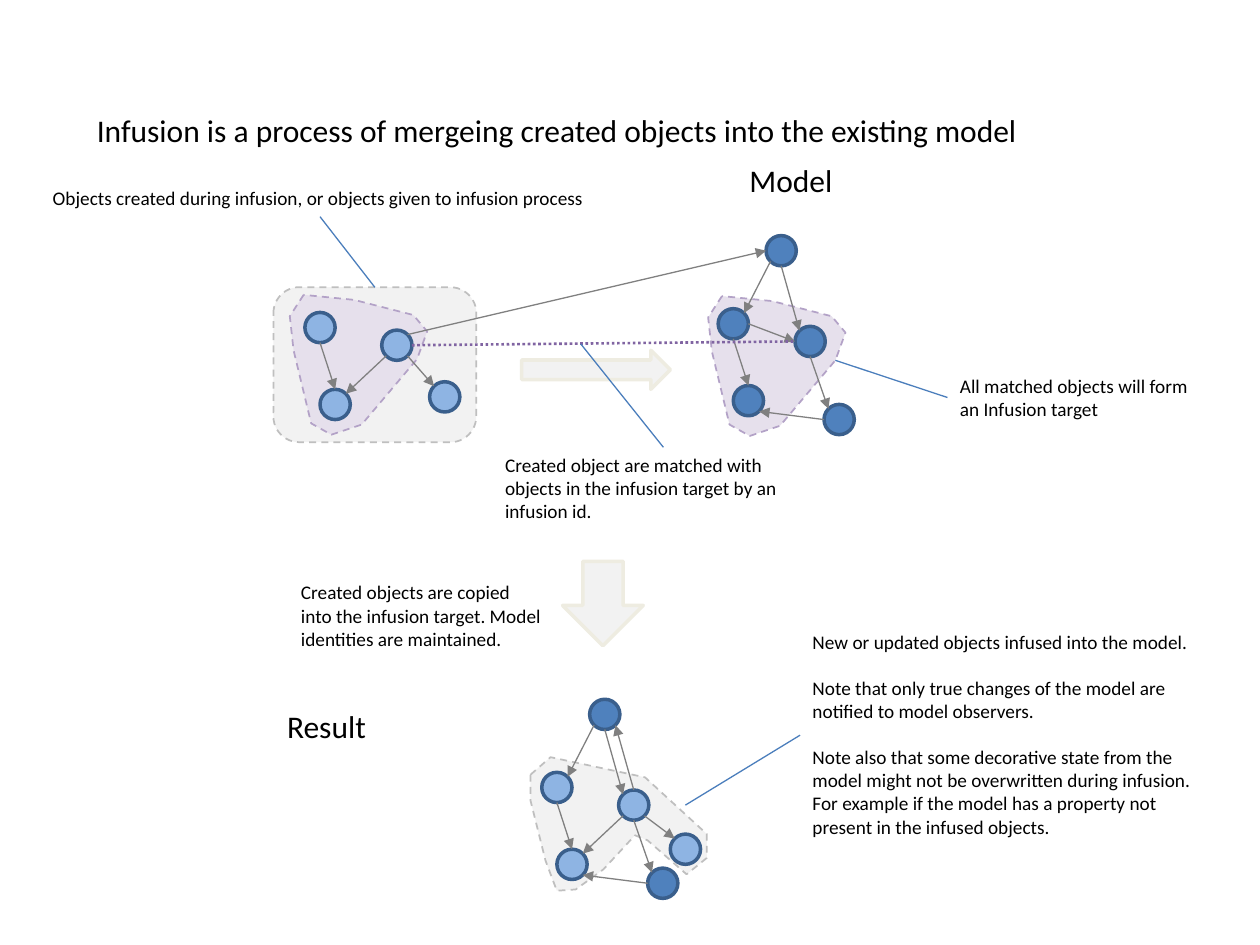
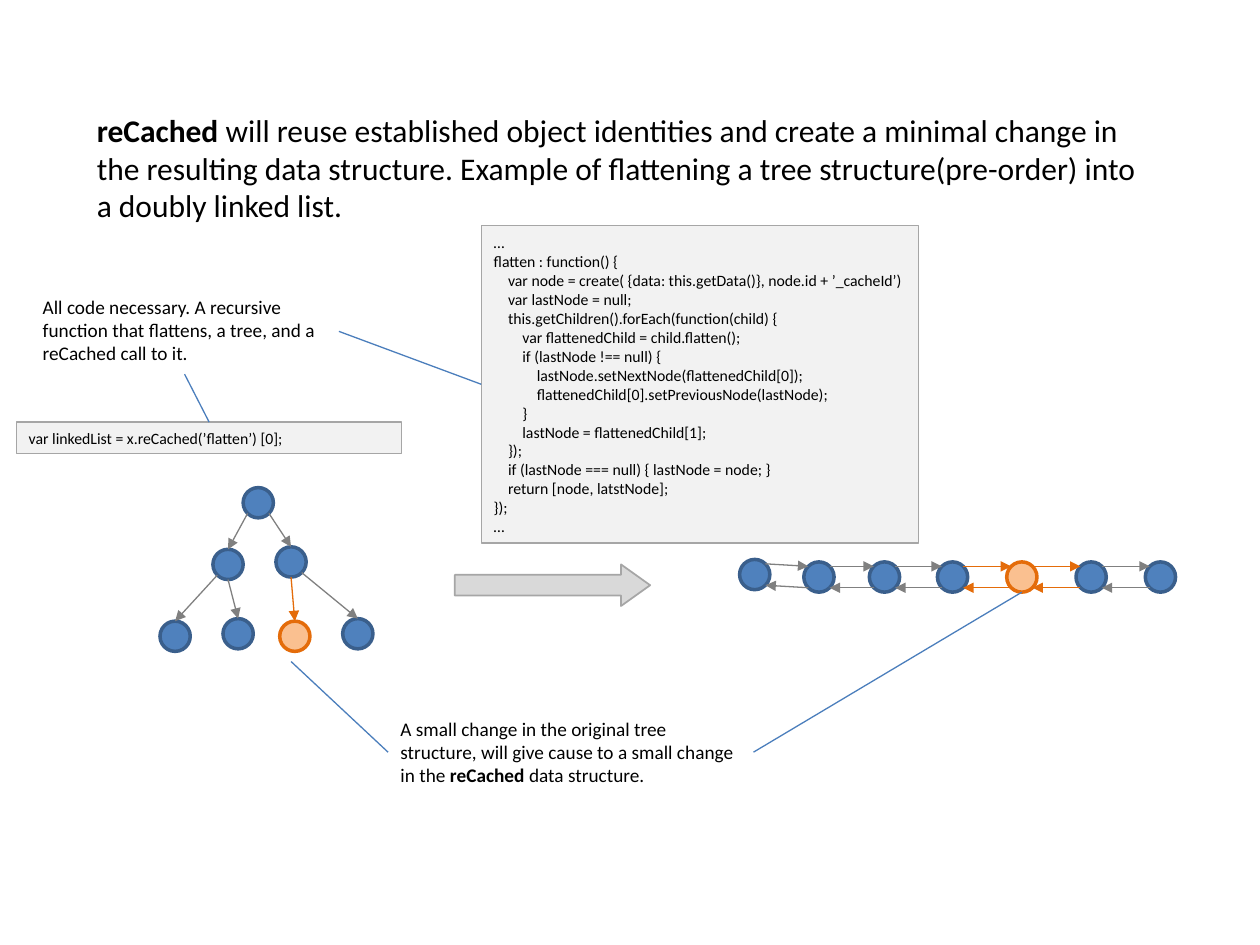
from collections import namedtuple
from itertools import pairwise
from math import sqrt

from lxml.etree import SubElement
from pptx import Presentation
from pptx.dml.color import RGBColor
from pptx.enum.dml import MSO_LINE
from pptx.enum.shapes import MSO_CONNECTOR, MSO_SHAPE
from pptx.enum.text import MSO_AUTO_SIZE, PP_ALIGN
from pptx.oxml.ns import qn
from pptx.util import Emu, Inches, Pt

WIDTH, HEIGHT = Inches(10), Inches(7.5)
COLUMNS = 100
FONT = "Calibri"
TITLE, NOTE, CODE = 18, 11, 9
CODE_INDENT = 1.14
RADIUS = 1.2
BLACK, GREY, LEADER = "000000", "808080", "4B7EBC"
PALE, PALE_EDGE = "F2F2F2", "BFBFBF"
LILAC, LILAC_EDGE, PURPLE = "E6E0EC", "B3A2C7", "8064A2"
CREAM, SILVER, SILVER_EDGE = "EEECE1", "D9D9D9", "A6A6A6"
ORANGE = "E46C0A"
MODEL, CREATED, CHANGED = ("4F81BD", "3A5F8C"), ("8EB4E3", "3A5F8C"), ("FAC090", ORANGE)
TOP, LEFT, BOTTOM, RIGHT = range(4)

Box = namedtuple("Box", "col row cols rows")

DIAGONAL = 1 / sqrt(2)
RIM = {
    "n": (0, -1), "s": (0, 1), "w": (-1, 0), "e": (1, 0),
    "nw": (-DIAGONAL, -DIAGONAL), "ne": (DIAGONAL, -DIAGONAL),
    "sw": (-DIAGONAL, DIAGONAL), "se": (DIAGONAL, DIAGONAL),
}

GRAPH = {"top": (5.8, 1.2), "left": (2, 7), "right": (8.1, 8.4),
         "low": (3.2, 13.1), "outer": (10.4, 14.6)}
GRAPH_EDGES = ["left s low n", "top sw left ne", "top s right nw",
               "right s outer nw", "outer w low se"]
MATCHED = [(1.1, 0), (0, 1.7), (0.3, 4.4), (1.7, 10.2), (3.3, 11.1),
           (5.7, 10.3), (10.1, 5.1), (10.9, 2.9), (9.8, 1.6), (5.1, 0.4)]
INFUSED = [(0, 1.4), (0, 3.4), (1.2, 8.2), (2.1, 10.6), (3.6, 10.5), (5.8, 8.9),
           (8.3, 6.2), (9.3, 6.6), (12.4, 9.3), (14, 8), (14, 6.1), (9.1, 1.6), (1.6, 0)]
TREE = {"root": (7.8, 1.2), "left": (5.4, 6.1), "right": (10.4, 5.9), "first": (1.2, 11.8),
        "second": (6.2, 11.6), "changed": (10.7, 11.8), "last": (15.7, 11.6)}
TREE_EDGES = ["root se right n", "root sw left n", "right se last n",
              "right s changed n", "left s second n", "left sw first n"]
LINKED = {"first": (1.2, 1.2), "second": (6.3, 1.4), "third": (11.5, 1.4), "fourth": (16.9, 1.4),
          "changed": (22.4, 1.4), "sixth": (27.9, 1.4), "last": (33.4, 1.4)}
FLATTEN = [
    (0, "…"),
    (0, "flatten : function() {"),
    (1, "var node = create( {data: this.getData()}, node.id + ’_cacheId’)"),
    (1, "var lastNode = null;"),
    (1, "this.getChildren().forEach(function(child) {"),
    (2, "var flattenedChild = child.flatten();"),
    (2, "if (lastNode !== null) {"),
    (3, "lastNode.setNextNode(flattenedChild[0]);"),
    (3, "flattenedChild[0].setPreviousNode(lastNode);"),
    (2, "}"),
    (2, "lastNode = flattenedChild[1];"),
    (1, "});"),
    (1, "if (lastNode === null) { lastNode = node; }"),
    (1, "return [node, latstNode];"),
    (0, "});"),
    (0, "…"),
]


def cells(count):
    """Turn a number of grid cells into a length."""
    return Emu(round(count * WIDTH / COLUMNS))


def color(value):
    """Turn a hex string into a colour."""
    return RGBColor.from_string(value)


def paint(shape, fill, edge, weight, dash=None):
    """Give a shape its fill and line, without a shadow."""
    shape.shadow.inherit = False
    shape.fill.solid()
    shape.fill.fore_color.rgb = color(fill)
    shape.line.color.rgb = color(edge)
    shape.line.width = Pt(weight)
    if dash:
        shape.line.dash_style = dash
    return shape


def block(slide, box, kind, fill, edge, weight, dash=None):
    """Add a painted preset shape."""
    shape = slide.shapes.add_shape(kind, *map(cells, box))
    return paint(shape, fill, edge, weight, dash)


def outline(slide, box, corners, fill, edge):
    """Add a dashed closed outline around a group of objects."""
    points = [(cells(box.col + x), cells(box.row + y)) for x, y in corners]
    builder = slide.shapes.build_freeform(*points[0])
    builder.add_line_segments(points[1:], close=True)
    paint(builder.convert_to_shape(), fill, edge, 1, MSO_LINE.DASH)


def line(slide, start, end, tint, weight=0.75, dash=None, arrow=False):
    """Add a straight line or arrow between two grid points."""
    link = slide.shapes.add_connector(MSO_CONNECTOR.STRAIGHT, *map(cells, (*start, *end)))
    link.line.color.rgb = color(tint)
    link.line.width = Pt(weight)
    if dash:
        link.line.dash_style = dash
    if arrow:
        SubElement(link.line._get_or_add_ln(), qn("a:tailEnd"), type="triangle")
    SubElement(link._element.spPr, qn("a:effectLst"))
    return link


def leader(slide, shape, side, target):
    """Lead from the middle of a shape's side to a point or to another shape's side."""
    joined = len(target) == 2 and not isinstance(target[0], (int, float))
    link = line(slide, (0, 0), (0, 0) if joined else target, LEADER)
    link.begin_connect(shape, side)
    if joined:
        link.end_connect(*target)


def rim(centre, side):
    """Find the point on a node's rim in a compass direction."""
    return tuple(c + RADIUS * d for c, d in zip(centre, RIM[side]))


def nodes(slide, box, places, look, special=None):
    """Draw round nodes in a box and return their centres by name."""
    centres = {}
    for name, (x, y) in places.items():
        centre = box.col + x, box.row + y
        circle = Box(centre[0] - RADIUS, centre[1] - RADIUS, 2 * RADIUS, 2 * RADIUS)
        block(slide, circle, MSO_SHAPE.OVAL, *(special or {}).get(name, look), 2)
        centres[name] = centre
    return centres


def edges(slide, centres, links):
    """Draw arrows, each given as source, its side, target and its side."""
    for link in links:
        source, leave, target, reach = link.split()
        tint = ORANGE if "changed" in (source, target) else GREY
        line(slide, rim(centres[source], leave), rim(centres[target], reach), tint, arrow=True)


def write(shape, paragraphs, size, wrap=True, gap=0):
    """Fill a shape with paragraphs of an indent level and (words, bold) runs."""
    frame = shape.text_frame
    frame.word_wrap = wrap
    frame.auto_size = MSO_AUTO_SIZE.SHAPE_TO_FIT_TEXT
    for index, (level, runs) in enumerate(paragraphs):
        paragraph = frame.add_paragraph() if index else frame.paragraphs[0]
        paragraph.alignment = PP_ALIGN.LEFT
        if index and gap:
            paragraph.space_before = Pt(gap)
        if level:
            paragraph._p.get_or_add_pPr().set("marL", str(cells(level * CODE_INDENT)))
        for words, bold in runs:
            run = paragraph.add_run()
            run.text = words
            run.font.name, run.font.size, run.font.bold = FONT, Pt(size), bold
            run.font.color.rgb = color(BLACK)
    return shape


def text(slide, box, *paragraphs, size=NOTE, wrap=True, gap=0):
    """Add a text box; a paragraph is a string or a list of runs."""
    rows = [(0, [(p, False)] if isinstance(p, str) else p) for p in paragraphs]
    return write(slide.shapes.add_textbox(*map(cells, box)), rows, size, wrap, gap)


def code(slide, box, rows):
    """Add a grey box with indented lines of code."""
    panel = block(slide, box, MSO_SHAPE.RECTANGLE, PALE, SILVER_EDGE, 0.75)
    return write(panel, [(level, [(words, False)]) for level, words in rows], CODE)


def created_region(slide, box):
    """Draw the created objects in their tray and return tray and centres."""
    tray = block(slide, Box(box.col - 1.7, box.row + 3.8, 16.1, 12.3),
                 MSO_SHAPE.FLOWCHART_ALTERNATE_PROCESS, PALE, PALE_EDGE, 1, MSO_LINE.DASH)
    outline(slide, Box(box.col - 0.4, box.row + 4.4, 11, 11.2), MATCHED, LILAC, LILAC_EDGE)
    places = {name: GRAPH[name] for name in ("left", "right", "low")}
    centres = nodes(slide, box, places | {"fresh": (11.9, 12.5)}, CREATED)
    edges(slide, centres, ["left s low n", "right sw low ne", "right se fresh nw"])
    return tray, centres


def model_region(slide, box):
    """Draw the existing model and return its centres."""
    outline(slide, Box(box.col, box.row + 4.8, 11, 11.2), MATCHED, LILAC, LILAC_EDGE)
    centres = nodes(slide, box, GRAPH, MODEL)
    edges(slide, centres, GRAPH_EDGES + ["left e right w"])
    text(slide, Box(box.col + 2.3, box.row - 6.4, 8.7, 4), "Model", size=TITLE, wrap=False)
    return centres


def result_region(slide, box):
    """Draw the model after infusion."""
    outline(slide, Box(box.col - 0.1, box.row + 4.6, 13.9, 10.6), INFUSED, PALE, PALE_EDGE)
    kept = {"top": MODEL, "outer": MODEL}
    centres = nodes(slide, box, GRAPH | {"fresh": (12.2, 11.9)}, CREATED, kept)
    edges(slide, centres, GRAPH_EDGES + ["right sw low ne", "right se fresh nw", "right n top se"])
    text(slide, Box(box.col - 20.4, box.row + 0.1, 8.3, 4), "Result", size=TITLE, wrap=False)


def tree_region(slide, box):
    """Draw the tree with its changed leaf."""
    edges(slide, nodes(slide, box, TREE, MODEL, {"changed": CHANGED}), TREE_EDGES)


def list_region(slide, box):
    """Draw the doubly linked list and return its centres."""
    centres = nodes(slide, box, LINKED, MODEL, {"changed": CHANGED})
    for here, following in pairwise(LINKED):
        edges(slide, centres, [f"{here} ne {following} nw", f"{following} sw {here} se"])
    return centres


def infusion_slide(slide):
    """Explain how created objects are merged into the model."""
    text(slide, Box(6.7, 8.3, 75.4, 4),
         "Infusion is a process of mergeing created objects into the existing model",
         size=TITLE, wrap=False)
    tray, created = created_region(slide, Box(23.4, 19, 14.4, 16))
    model = model_region(slide, Box(56.2, 18.7, 11.6, 16))
    result_region(slide, Box(42.2, 55.5, 14, 15.8))
    block(slide, Box(41.4, 27.8, 11.8, 3.1), MSO_SHAPE.RIGHT_ARROW, PALE, CREAM, 2)
    block(slide, Box(44.5, 44.7, 6.7, 6.4), MSO_SHAPE.RIGHT_ARROW, PALE, CREAM, 2).rotation = 90
    line(slide, rim(created["right"], "ne"), rim(model["top"], "w"), GREY, arrow=True)
    line(slide, rim(created["right"], "e"), rim(model["right"], "w"), PURPLE, 1.5,
         MSO_LINE.ROUND_DOT)

    origin = text(slide, Box(3.2, 14.3, 44.4, 2.9),
                  "Objects created during infusion, or objects given to infusion process", wrap=False)
    target = text(slide, Box(75.2, 29.2, 21.3, 4.7),
                  "All matched objects will form an Infusion target")
    matching = text(slide, Box(39.1, 35.5, 27.1, 6.6),
                    "Created object are matched with objects in the infusion target by an infusion id.")
    text(slide, Box(22.9, 45.6, 21.3, 6.6),
         "Created objects are copied into the infusion target. Model identities are maintained.")
    outcome = text(slide, Box(63.5, 49.5, 33, 17.7),
                   "New or updated objects infused into the model.",
                   "Note that only true changes of the model are notified to model observers.",
                   "Note also that some decorative state from the model might not be overwritten during "
                   "infusion. For example if the model has a property not present in the infused objects.",
                   gap=13.2)
    leader(slide, origin, BOTTOM, (tray, TOP))
    leader(slide, target, LEFT, (66.3, 28.6))
    leader(slide, matching, TOP, (46.1, 27.3))
    leader(slide, outcome, LEFT, (54.4, 63.9))


def recached_slide(slide):
    """Show a tree flattened into a linked list with a minimal change."""
    text(slide, Box(6.7, 8.3, 85.4, 10.1),
         [("reCached", True),
          (" will reuse established object identities and create a minimal change in the resulting "
           "data structure. Example of flattening a tree structure(pre-order) into a doubly linked "
           "list.", False)], size=TITLE)
    tree_region(slide, Box(12.7, 38.7, 16.9, 13))
    linked = list_region(slide, Box(58.7, 44.4, 34.6, 2.6))
    flattening = block(slide, Box(36.1, 44.8, 15.5, 3.3), MSO_SHAPE.RIGHT_ARROW,
                       SILVER, SILVER_EDGE, 1)
    flattening.adjustments[1] = 0.7

    change = text(slide, Box(30.8, 56.4, 29, 6.6),
                  [("A small change in the original tree structure, will give cause to a small "
                    "change in the ", False), ("reCached", True), (" data structure.", False)])
    recursion = code(slide, Box(38.2, 17.9, 34.7, 25.2), FLATTEN)
    call = code(slide, Box(1.3, 33.5, 30.6, 2.5),
                [(0, "var linkedList = x.reCached(’flatten’) [0];")])
    summary = text(slide, Box(2.4, 22.9, 24.5, 6.8),
                   "All code necessary. A recursive function that flattens, a tree, and a "
                   "reCached call to it.")
    leader(slide, change, RIGHT, rim(linked["changed"], "s"))
    leader(slide, change, LEFT, (23.1, 52.5))
    leader(slide, recursion, LEFT, (summary, RIGHT))
    leader(slide, call, TOP, (summary, BOTTOM))


def main():
    """Build both slides and save them."""
    deck = Presentation()
    deck.slide_width, deck.slide_height = WIDTH, HEIGHT
    for build in (infusion_slide, recached_slide):
        build(deck.slides.add_slide(deck.slide_layouts[6]))
    deck.save("out.pptx")


if __name__ == "__main__":
    main()
